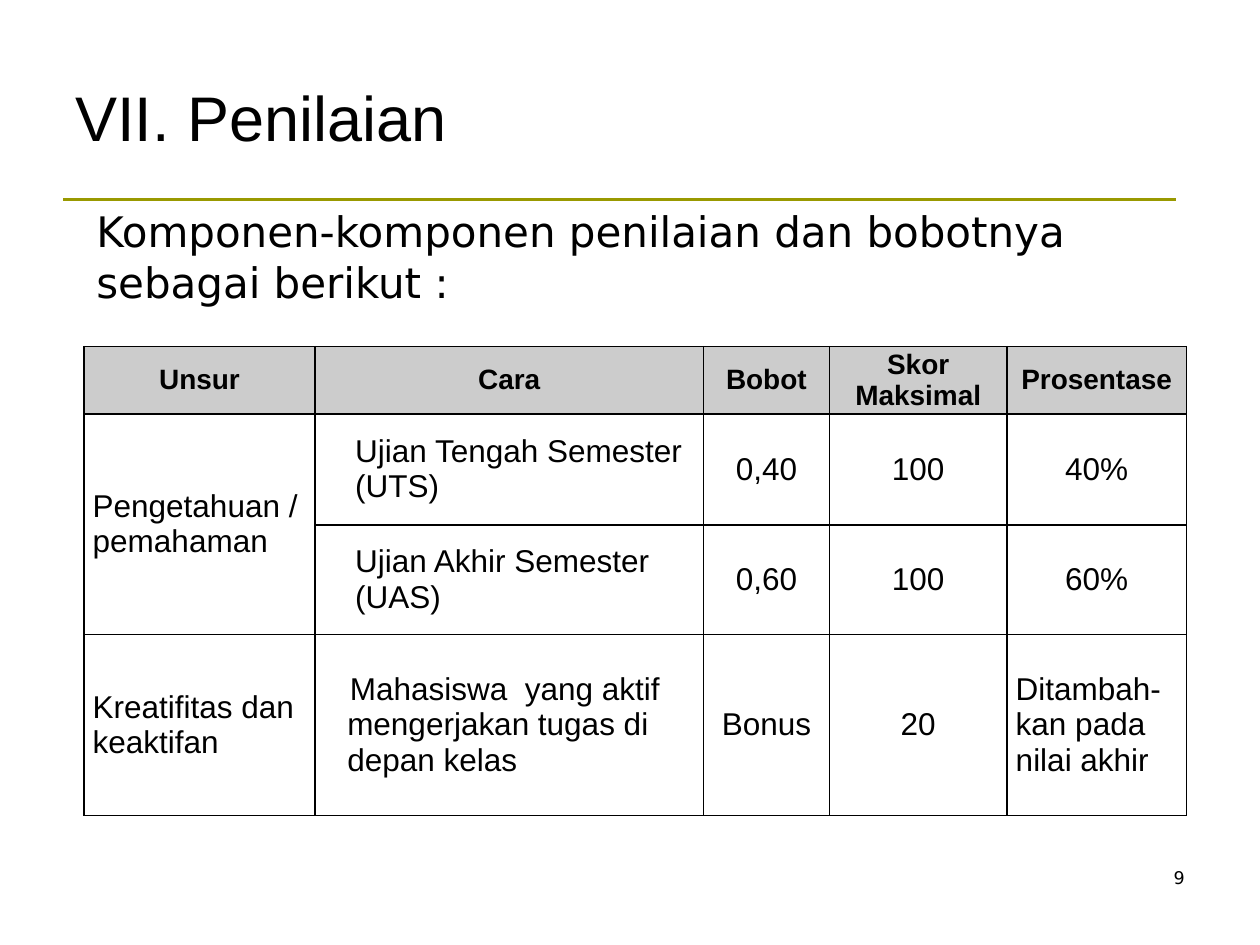
from dataclasses import dataclass

from lxml.etree import SubElement
from pptx import Presentation
from pptx.dml.color import RGBColor
from pptx.enum.shapes import MSO_CONNECTOR
from pptx.enum.text import MSO_ANCHOR, PP_ALIGN
from pptx.oxml.ns import qn
from pptx.util import Pt

TITLE = "VII. Penilaian"
INTRO = "Komponen-komponen penilaian dan bobotnya sebagai berikut :"
PAGE = "9"
ROWS = [
    ["Unsur", "Cara", "Bobot", "Skor\nMaksimal", "Prosentase"],
    ["Pengetahuan / pemahaman", "Ujian Tengah Semester (UTS)", "0,40", "100", "40%"],
    ["", "Ujian Akhir Semester (UAS)", "0,60", "100", "60%"],
    ["Kreatifitas dan keaktifan",
     "Mahasiswa  yang aktif mengerjakan tugas di depan kelas",
     "Bonus", "20", "Ditambah- kan pada nilai akhir"],
]
COL_WIDTHS = [132, 222, 72, 101.5, 102.5]
ROW_HEIGHTS = [38.5, 63.5, 62.5, 103.5]
LEFT_CELLS = {(1, 0), (1, 1), (2, 1), (3, 0), (3, 1), (3, 4)}
INDENTS = {(1, 1): (18, 0), (2, 1): (18, 0), (3, 1): (13.5, 1.5)}  # left, first line


@dataclass(frozen=True)
class Theme:
    ink: RGBColor = RGBColor(0, 0, 0)
    rule: RGBColor = RGBColor(0x99, 0x99, 0)
    header: RGBColor = RGBColor(0xCC, 0xCC, 0xCC)
    sans: str = "Arial"
    wide: str = "DejaVu Sans"
    title: float = 36
    intro: float = 24
    body: float = 18
    head: float = 16
    page: float = 10


T = Theme()


def style(tf, font, size, align=PP_ALIGN.LEFT, bold=False):
    for p in tf.paragraphs:
        p.alignment = align
        for r in p.runs:
            r.font.name, r.font.size, r.font.bold = font, Pt(size), bold
            r.font.color.rgb = T.ink


def add_text(s, text, box, font, size, align=PP_ALIGN.LEFT, anchor=MSO_ANCHOR.TOP):
    tf = s.shapes.add_textbox(*map(Pt, box)).text_frame
    tf.word_wrap = True
    tf.vertical_anchor = anchor
    tf.text = text
    style(tf, font, size, align)


def add_rule(s, x1, x2, y):
    line = s.shapes.add_connector(MSO_CONNECTOR.STRAIGHT, Pt(x1), Pt(y), Pt(x2), Pt(y))
    line.line.color.rgb = T.rule
    line.line.width = Pt(1.5)
    SubElement(line._element.spPr, qn("a:effectLst"))


def set_borders(cell):
    tc_pr = cell._tc.get_or_add_tcPr()
    for i, side in enumerate(("lnL", "lnR", "lnT", "lnB")):
        ln = tc_pr.makeelement(qn(f"a:{side}"), {"w": str(Pt(1))})
        fill = SubElement(ln, qn("a:solidFill"))
        SubElement(fill, qn("a:srgbClr"), val=str(T.ink))
        tc_pr.insert(i, ln)


def format_cell(cell, row, col):
    header = row == 0
    cell.text_frame.text = ROWS[row][col]
    cell.vertical_anchor = MSO_ANCHOR.MIDDLE
    cell.margin_left = cell.margin_right = Pt(5)
    cell.margin_top = cell.margin_bottom = 0
    if header:
        cell.fill.solid()
        cell.fill.fore_color.rgb = T.header
    else:
        cell.fill.background()
    align = PP_ALIGN.LEFT if (row, col) in LEFT_CELLS else PP_ALIGN.CENTER
    style(cell.text_frame, T.sans, T.head if header else T.body, align, header)
    if (row, col) in INDENTS:
        left, first = INDENTS[row, col]
        p_pr = cell.text_frame.paragraphs[0]._p.get_or_add_pPr()
        p_pr.set("marL", str(Pt(left)))
        p_pr.set("indent", str(Pt(first)))
    set_borders(cell)


def add_grades(s, x, y):
    frame = s.shapes.add_table(len(ROWS), len(COL_WIDTHS), Pt(x), Pt(y),
                               Pt(sum(COL_WIDTHS)), Pt(sum(ROW_HEIGHTS)))
    table = frame.table
    for column, width in zip(table.columns, COL_WIDTHS):
        column.width = Pt(width)
    for row, height in zip(table.rows, ROW_HEIGHTS):
        row.height = Pt(height)
    for i in range(len(ROWS)):
        for j in range(len(COL_WIDTHS)):
            format_cell(table.cell(i, j), i, j)
    table.cell(1, 0).merge(table.cell(2, 0))


def main():
    prs = Presentation()
    prs.slide_width, prs.slide_height = Pt(720), Pt(540)
    s = prs.slides.add_slide(prs.slide_layouts[6])
    add_rule(s, 36, 672, 114)
    add_text(s, PAGE, (516, 492, 168, 36), T.wide, T.page, PP_ALIGN.RIGHT)
    add_text(s, TITLE, (36, 21.6, 648, 90), T.sans, T.title, anchor=MSO_ANCHOR.MIDDLE)
    add_text(s, INTRO, (48, 114, 630, 65.5), T.wide, T.intro)
    add_grades(s, 48, 198)
    prs.save("out.pptx")


if __name__ == "__main__":
    main()
